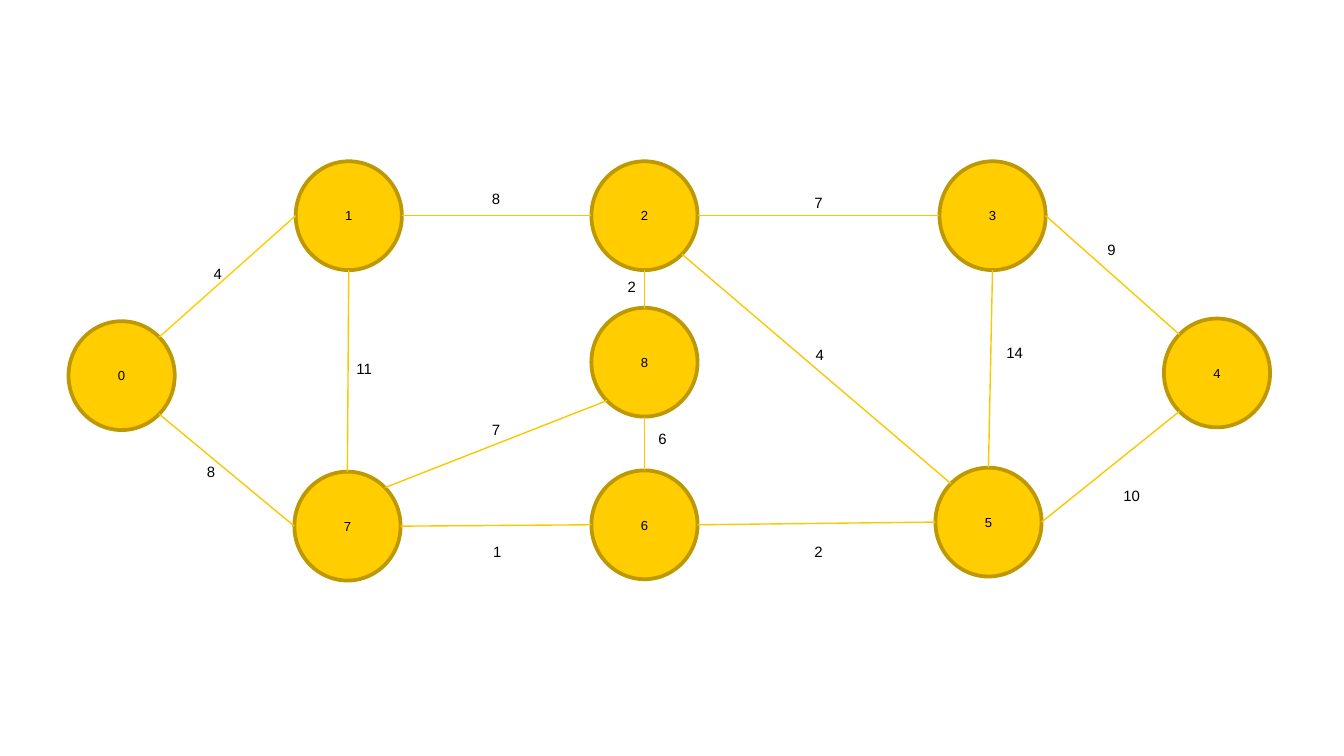
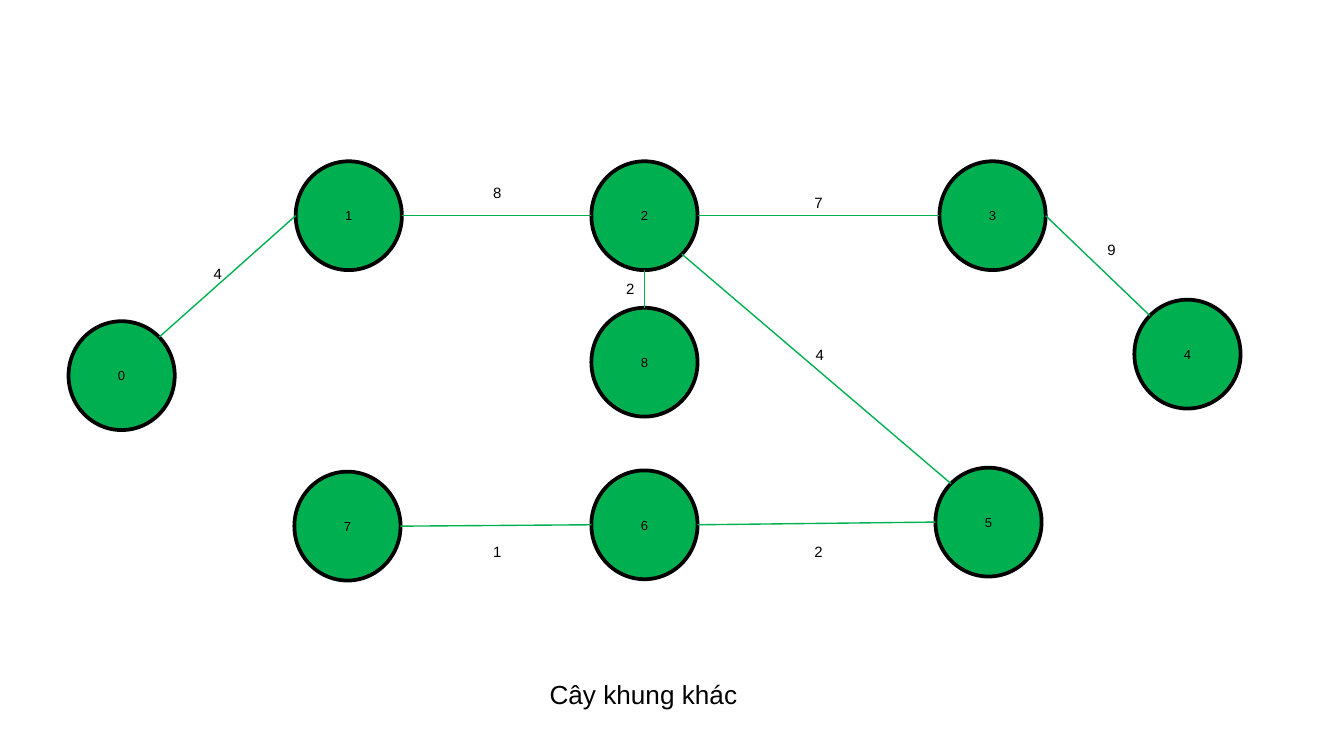
from math import cos, radians, sin
from lxml.etree import SubElement
from pptx import Presentation
from pptx.dml.color import RGBColor
from pptx.enum.shapes import MSO_CONNECTOR, MSO_SHAPE
from pptx.enum.text import MSO_ANCHOR, MSO_AUTO_SIZE, PP_ALIGN
from pptx.oxml.ns import qn
from pptx.util import Inches, Pt

WIDE, HIGH = Inches(10), Inches(5.625)
CELL = WIDE / 100
NODE = (7.9, 8.1)
LABEL = (7.8, 2.4)

BLACK = RGBColor(0, 0, 0)
GOLD = RGBColor(0xFF, 0xCD, 0x00)
AMBER = RGBColor(0xF9, 0xC8, 0x00)
BROWN = RGBColor(0xBD, 0x98, 0x00)
GREEN = RGBColor(0x00, 0xB0, 0x50)

NODES = {
    0: (5.1, 23.9), 7: (21.9, 35.1), 1: (22, 12), 3: (69.9, 12),
    8: (44, 22.9), 2: (44, 12), 6: (44, 35), 4: (86.6, 23.7), 5: (69.6, 34.8),
}
ANGLES = {"E": 0, "SE": 45, "S": 90, "SW": 135,
          "W": 180, "NW": 225, "N": 270, "NE": 315}
EDGES = {
    (0, 1): ("NE", "W", 4, (12.3, 19.2)),
    (0, 7): ("SE", "W", 8, (11.8, 33.9)),
    (1, 2): ("E", "W", 8, (33, 13.6)),
    (2, 3): ("E", "W", 7, (57, 13.9)),
    (1, 7): ("S", "N", 11, (23.2, 26.3)),
    (7, 6): ("E", "W", 1, (33.1, 39.9)),
    (8, 2): ("N", "S", 2, (43.1, 20.2)),
    (6, 5): ("E", "W", 2, (57, 39.9)),
    (3, 4): ("E", "NW", 9, (78.8, 17.4)),
    (5, 4): ("E", "SW", 10, (80.3, 35.7)),
    (5, 2): ("NW", "SE", 4, (57.1, 25.2)),
    (5, 3): ("N", "S", 14, (71.6, 25.1)),
    (6, 8): ("N", "S", 6, (45.4, 31.5)),
    (7, 8): ("NE", "SW", 7, (33, 30.8)),
}
TREE = [(0, 1), (1, 2), (2, 3), (7, 6), (8, 2), (6, 5), (3, 4), (5, 2)]


def grid(*cells):
    return [round(cell * CELL) for cell in cells]


def set_text(frame, text, size, align):
    para = frame.paragraphs[0]
    para.text = str(text)
    para.alignment = align
    para.font.size = Pt(size)
    para.font.name = "Arial"
    para.font.color.rgb = BLACK


def add_node(slide, name, spot, fill, rim):
    node = slide.shapes.add_shape(MSO_SHAPE.OVAL, *grid(*spot, *NODE))
    node.shadow.inherit = False
    node.fill.solid()
    node.fill.fore_color.rgb = fill
    node.line.color.rgb = rim
    node.line.width = Pt(2)
    node.text_frame.vertical_anchor = MSO_ANCHOR.MIDDLE
    set_text(node.text_frame, name, 7, PP_ALIGN.CENTER)


def rim_point(spot, side):
    turn = radians(ANGLES[side])
    return grid(spot[0] + NODE[0] / 2 * (1 + cos(turn)),
                spot[1] + NODE[1] / 2 * (1 + sin(turn)))


def add_edge(slide, start, end, color):
    edge = slide.shapes.add_connector(MSO_CONNECTOR.STRAIGHT, *start, *end)
    edge.line.color.rgb = color
    edge.line.width = Pt(0.75)
    SubElement(edge.element.spPr, qn("a:effectLst"))


def add_label(slide, text, spot, size=8, box=LABEL, wrap=True,
              align=PP_ALIGN.CENTER):
    label = slide.shapes.add_textbox(*grid(*spot, *box))
    label.text_frame.word_wrap = wrap
    label.text_frame.auto_size = MSO_AUTO_SIZE.SHAPE_TO_FIT_TEXT
    set_text(label.text_frame, text, size, align)


def add_graph(deck, nodes, edges, fill, rim, color, first):
    slide = deck.slides.add_slide(deck.slide_layouts[6])
    for name, spot in nodes.items():
        add_node(slide, name, spot, fill, rim)
    for (tail, head), (out, into, _, _) in edges.items():
        start, end = rim_point(nodes[tail], out), rim_point(nodes[head], into)
        add_edge(slide, start, end, first if (tail, head) == (0, 1) else color)
    for _, _, weight, spot in edges.values():
        add_label(slide, weight, spot)
    return slide


def main():
    deck = Presentation()
    deck.slide_width, deck.slide_height = WIDE, HIGH
    add_graph(deck, NODES, EDGES, GOLD, BROWN, AMBER, GOLD)

    nodes = {**NODES, 4: (84.4, 22.3)}
    edges = {pair: EDGES[pair] for pair in TREE}
    edges[1, 2] = ("E", "W", 8, (33.1, 13.2))
    edges[8, 2] = ("N", "S", 2, (43, 20.3))
    slide = add_graph(deck, nodes, edges, GREEN, BLACK, GREEN, GREEN)
    add_label(slide, "Cây khung khác", (39.9, 50), 14, (16.1, 3.4), False,
              PP_ALIGN.LEFT)
    deck.save("out.pptx")


if __name__ == "__main__":
    main()
